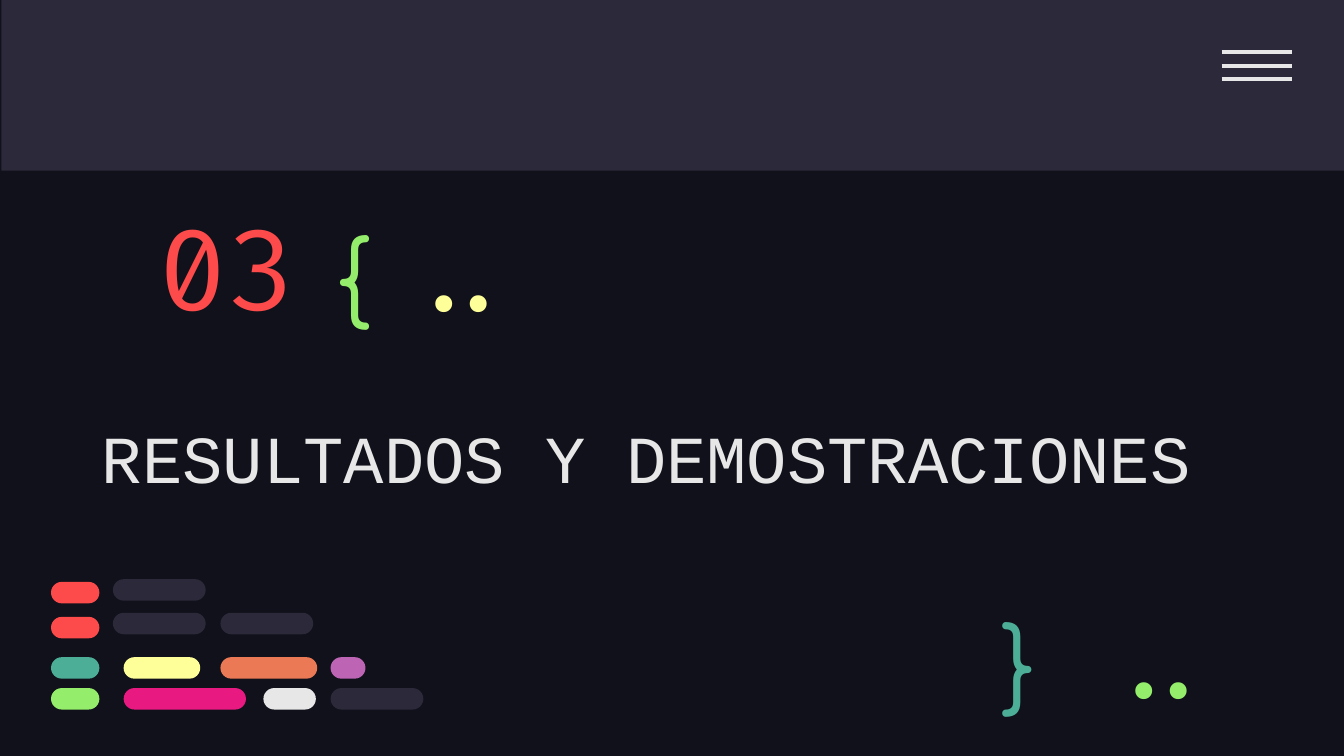
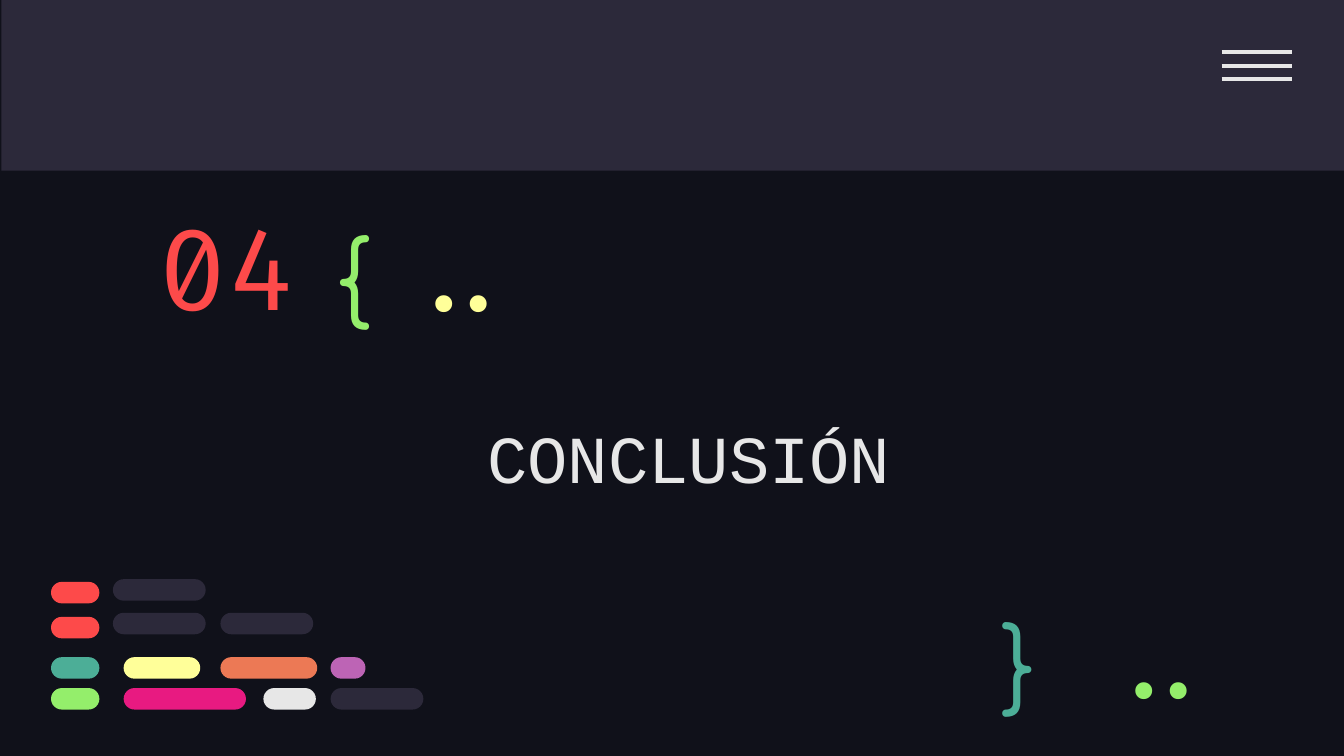
from dataclasses import dataclass

from lxml.etree import SubElement
from pptx import Presentation
from pptx.dml.color import RGBColor
from pptx.enum.shapes import MSO_CONNECTOR, MSO_SHAPE
from pptx.enum.text import MSO_ANCHOR, PP_ALIGN
from pptx.oxml.ns import qn
from pptx.util import Inches, Pt


@dataclass(frozen=True)
class Theme:
    # Colours
    back: str = "10111A"
    band: str = "2C293A"
    white: str = "E7E7E7"
    red: str = "FD4A4A"
    green: str = "94EE6B"
    teal: str = "4CAE97"
    yellow: str = "FFFF99"
    orange: str = "EC7955"
    purple: str = "BD64B5"
    pink: str = "E81A81"
    # Fonts and sizes
    plain: str = "Courier New"
    code: str = "Fira Code"
    round: str = "Comfortaa"
    title: int = 36
    number: int = 60
    sign: int = 50
    rule: float = 2.25


THEME = Theme()

# Code pills: left, top, width, colour
PILLS = [
    (0.38, 4.33, 0.36, THEME.red),
    (0.38, 4.59, 0.36, THEME.red),
    (0.38, 4.89, 0.36, THEME.teal),
    (0.92, 4.89, 0.57, THEME.yellow),
    (1.64, 4.89, 0.72, THEME.orange),
    (2.46, 4.89, 0.26, THEME.purple),
    (0.38, 5.12, 0.36, THEME.green),
    (0.92, 5.12, 0.91, THEME.pink),
    (1.96, 5.12, 0.39, THEME.white),
    (2.46, 5.12, 0.69, THEME.band),
    (0.84, 4.56, 0.69, THEME.band),
    (0.84, 4.31, 0.69, THEME.band),
    (1.64, 4.56, 0.69, THEME.band),
]

# Section slides: number, title, alignment
PARTS = [
    ("03", "RESULTADOS Y DEMOSTRACIONES", PP_ALIGN.LEFT),
    ("04", "CONCLUSIÓN", PP_ALIGN.CENTER),
]


def paint(fill, color):
    fill.solid()
    fill.fore_color.rgb = RGBColor.from_string(color)


def add_block(shapes, kind, box, color):
    block = shapes.add_shape(kind, *map(Inches, box))
    block.shadow.inherit = False
    paint(block.fill, color)
    block.line.fill.background()
    return block


def add_rule(shapes, left, right, top):
    rule = shapes.add_connector(MSO_CONNECTOR.STRAIGHT, Inches(left),
                                Inches(top), Inches(right), Inches(top))
    rule.line.width = Pt(THEME.rule)
    paint(rule.line.fill, THEME.white)
    SubElement(rule._element.spPr, qn("a:effectLst"))


def add_text(shapes, box, text, font, size, color,
             align=PP_ALIGN.LEFT, anchor=MSO_ANCHOR.MIDDLE):
    frame = shapes.add_textbox(*map(Inches, box)).text_frame
    frame.word_wrap = True
    frame.vertical_anchor = anchor
    frame.margin_left = frame.margin_right = Inches(0.1)
    frame.margin_top = frame.margin_bottom = Inches(0.1)
    line = frame.paragraphs[0]
    line.text = text
    line.alignment = align
    line.font.name = font
    line.font.size = Pt(size)
    line.font.color.rgb = RGBColor.from_string(color)


def add_brace(shapes, box, text, color):
    add_text(shapes, box, text, THEME.round, THEME.sign, color,
             anchor=MSO_ANCHOR.TOP)


def add_dots(shapes, left, top, color):
    add_text(shapes, (left, top, 1.07, 0.6), "..", THEME.code, THEME.sign,
             color, PP_ALIGN.RIGHT)


def add_header(shapes):
    add_block(shapes, MSO_SHAPE.RECTANGLE, (0.01, 0, 10, 1.27), THEME.band)
    menu = shapes.add_group_shape().shapes
    for row in range(3):
        add_rule(menu, 9.09, 9.61, 0.39 + 0.1 * row)


def add_pills(shapes):
    group = shapes.add_group_shape().shapes
    for left, top, width, color in PILLS:
        pill = add_block(group, MSO_SHAPE.ROUNDED_RECTANGLE,
                         (left, top, width, 0.16), color)
        pill.adjustments[0] = 0.5


def add_part(deck, number, title, align):
    shapes = deck.slides.add_slide(deck.slide_layouts[6]).shapes
    add_header(shapes)
    # Title and number
    add_text(shapes, (0.66, 2.74, 8.93, 1.31), title, THEME.plain,
             THEME.title, THEME.white, align)
    add_text(shapes, (1.08, 1.48, 1.81, 1), number, THEME.code,
             THEME.number, THEME.red)
    # Braces and dots
    add_brace(shapes, (2.4, 1.5, 0.77, 0.95), "{", THEME.green)
    add_brace(shapes, (7.35, 4.38, 0.57, 0.83), "}", THEME.teal)
    add_dots(shapes, 8.1, 4.62, THEME.green)
    add_dots(shapes, 2.89, 1.74, THEME.yellow)
    add_pills(shapes)


def main():
    deck = Presentation()
    # Widescreen, 16:9
    deck.slide_width = Inches(10)
    deck.slide_height = deck.slide_width * 9 // 16
    paint(deck.slide_master.background.fill, THEME.back)
    for part in PARTS:
        add_part(deck, *part)
    deck.save("out.pptx")


if __name__ == "__main__":
    main()
